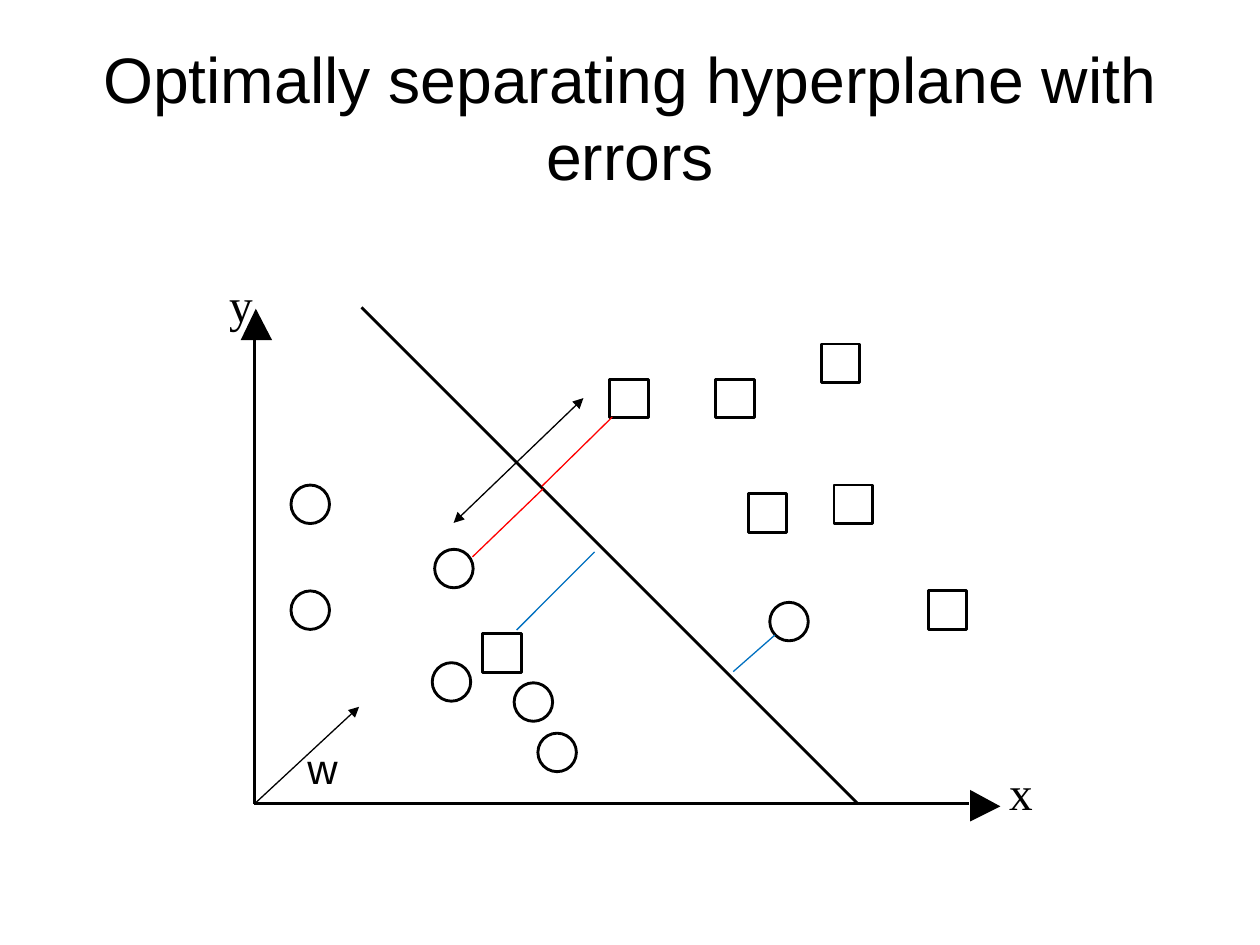
"""Build a slide showing an optimally separating hyperplane with errors."""
import pptx
import pptx.dml.color
import pptx.enum.shapes
import pptx.enum.text
import pptx.oxml.ns
import pptx.util
from lxml import etree

Pt = pptx.util.Pt
RGBColor = pptx.dml.color.RGBColor
MSO_SHAPE = pptx.enum.shapes.MSO_SHAPE

BLACK = RGBColor(0x00, 0x00, 0x00)
WHITE = RGBColor(0xFF, 0xFF, 0xFF)
RED = RGBColor(0xFF, 0x00, 0x00)
BLUE = RGBColor(0x00, 0x70, 0xC0)

TITLE = "Optimally separating hyperplane with errors"
MARKER_SIZE = 22
THICK, THIN = 1.63, 0.75
ORIGIN = (145.4, 459.4)

LABELS = [
    ("y", (131, 157, 14.4, 29.5), 27, "Times New Roman", 0),
    ("x", (576.7, 436.3, 14.4, 29.5), 27, "Times New Roman", 0),
    ("w", (172.1, 420.5, 25.2, 34.6), 24, "Arial", 3.6),
]
MARKERS = {
    MSO_SHAPE.OVAL: [
        (293.8, 390.2), (166.3, 337.7), (166.3, 277.2), (247, 378.7),
        (307.4, 419), (248.4, 313.9), (439.9, 344.2),
    ],
    MSO_SHAPE.RECTANGLE: [
        (348.5, 216.7), (427.7, 282.2), (409, 216.7), (469.4, 196.6),
        (530.6, 337.7), (476.6, 277.2), (275.8, 362.2),
    ],
}
AXES_AND_HYPERPLANE = [
    ((206.6, 175.7), (490.3, 459.4), BLACK, THICK, ()),
    (ORIGIN, (145.4, 193), BLACK, THICK, ()),
    (ORIGIN, (553.7, 459.4), BLACK, THICK, ()),
]
AXIS_TIPS = [
    [(155.5, 194.4), (146.2, 176.4), (137.5, 194.4)],
    [(554.4, 469.4), (571.7, 460.8), (554.4, 451.4)],
]
DISTANCES = [
    ((349.9, 238.3), (309.6, 277.9), RED, THIN, ()),
    ((310.3, 279.4), (270, 318.2), RED, THIN, ()),
    (ORIGIN, (205.2, 403.9), BLACK, THIN, ("tailEnd",)),
    ((333.4, 227.5), (259.2, 298.8), BLACK, THIN, ("headEnd", "tailEnd")),
    ((339.8, 315.4), (295.2, 360), BLUE, THIN, ()),
    ((442.8, 362.9), (419, 383.8), BLUE, THIN, ()),
]


def set_margins(frame, margin):
    frame.margin_left = frame.margin_right = Pt(margin)
    frame.margin_top = frame.margin_bottom = Pt(margin)


def add_run(paragraph, text, size, font):
    run = paragraph.add_run()
    run.text = text
    run.font.size = Pt(size)
    run.font.name = font
    run.font.color.rgb = BLACK


def add_title(slide):
    title = slide.shapes.title
    title.left, title.top, title.width, title.height = map(Pt, (36, 21.6, 648, 90))
    frame = title.text_frame
    frame.word_wrap = True
    frame.vertical_anchor = pptx.enum.text.MSO_ANCHOR.MIDDLE
    set_margins(frame, 3.6)
    frame.paragraphs[0].alignment = pptx.enum.text.PP_ALIGN.CENTER
    add_run(frame.paragraphs[0], TITLE, 36.7, "Arial")


def add_label(slide, text, box, size, font, margin):
    frame = slide.shapes.add_textbox(*map(Pt, box)).text_frame
    frame.word_wrap = False
    frame.auto_size = pptx.enum.text.MSO_AUTO_SIZE.SHAPE_TO_FIT_TEXT
    set_margins(frame, margin)
    add_run(frame.paragraphs[0], text, size, font)


def add_line(slide, start, end, color, width, arrowheads):
    connector = slide.shapes.add_connector(
        pptx.enum.shapes.MSO_CONNECTOR.STRAIGHT, *map(Pt, start + end))
    connector.line.color.rgb = color
    connector.line.width = Pt(width)
    outline = connector.line._get_or_add_ln()
    for arrowhead in arrowheads:
        etree.SubElement(outline, pptx.oxml.ns.qn("a:" + arrowhead), type="triangle")
    etree.SubElement(connector._element.spPr, pptx.oxml.ns.qn("a:effectLst"))


def add_marker(slide, kind, position):
    marker = slide.shapes.add_shape(
        kind, *map(Pt, position), Pt(MARKER_SIZE), Pt(MARKER_SIZE))
    marker.shadow.inherit = False
    marker.fill.solid()
    marker.fill.fore_color.rgb = WHITE
    marker.line.color.rgb = BLACK
    marker.line.width = Pt(THICK)


def add_tip(slide, corners):
    first, *rest = [tuple(map(Pt, corner)) for corner in corners]
    builder = slide.shapes.build_freeform(*first, scale=1.0)
    builder.add_line_segments(rest, close=True)
    tip = builder.convert_to_shape()
    tip.shadow.inherit = False
    tip.fill.solid()
    tip.fill.fore_color.rgb = BLACK
    tip.line.fill.background()


def main():
    deck = pptx.Presentation()
    deck.slide_width, deck.slide_height = Pt(720), Pt(540)
    slide = deck.slides.add_slide(deck.slide_layouts[5])
    add_title(slide)
    for line in AXES_AND_HYPERPLANE:
        add_line(slide, *line)
    for corners in AXIS_TIPS:
        add_tip(slide, corners)
    for kind, positions in MARKERS.items():
        for position in positions:
            add_marker(slide, kind, position)
    for line in DISTANCES:
        add_line(slide, *line)
    for label in LABELS:
        add_label(slide, *label)
    deck.save("out.pptx")


if __name__ == "__main__":
    main()
